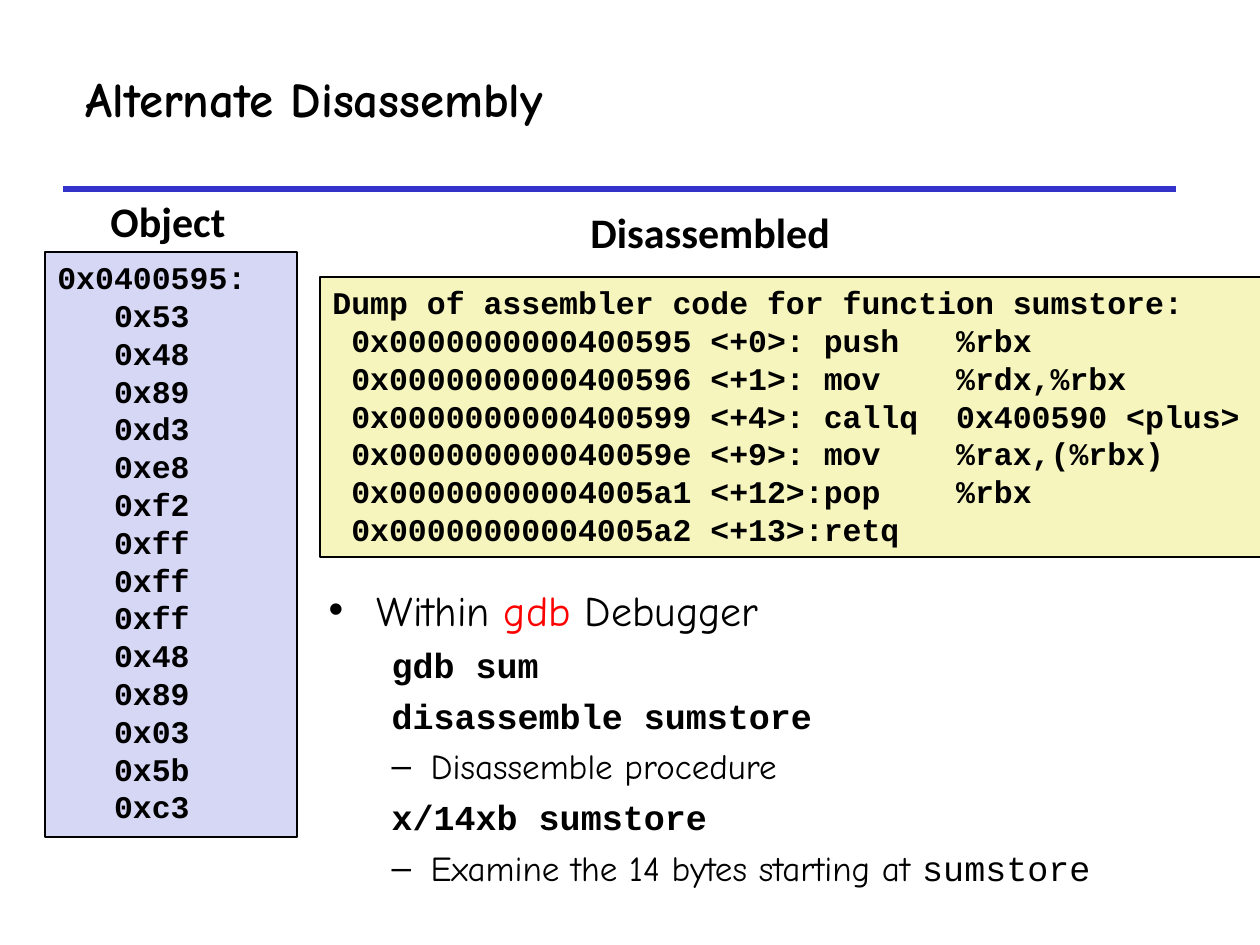
import pptx
import pptx.dml.color
import pptx.enum.shapes
import pptx.enum.text
import pptx.oxml
import pptx.util
import pptx.oxml.ns

PX = 914400 / 126
BLACK, RED, BLUE, LILAC, CREAM = "000000", "FF0000", "3333CC", "D6D6F5", "F6F5BD"
HAND, CODE, SANS = "Comic Neue", "Courier New", "Calibri"
rgb = pptx.dml.color.RGBColor.from_string


def px(*lengths):
    return [pptx.util.Emu(round(length * PX)) for length in lengths]


def write(frame, text, *, font, size, bold=False, color=BLACK, new=True, before=0):
    """Add a run, in a new paragraph unless new is False or the frame is empty."""
    paragraph = frame.paragraphs[-1]
    if new and paragraph.runs:
        paragraph = frame.add_paragraph()
    if new:
        paragraph.space_before = pptx.util.Pt(before)
        paragraph.alignment = pptx.enum.text.PP_ALIGN.LEFT
    run = paragraph.add_run()
    run.text = text
    run.font.name, run.font.size, run.font.bold = font, pptx.util.Pt(size), bold
    run.font.color.rgb = rgb(color)
    return paragraph


deck = pptx.Presentation()
deck.slide_width, deck.slide_height = px(1260, 945)
slide = deck.slides.add_slide(deck.slide_layouts[1])
title, commands = slide.placeholders[0], slide.placeholders[1]

# Title and the rule below it
title.left, title.top, title.width, title.height = px(73, 58, 861, 79)
title.text_frame.auto_size = pptx.enum.text.MSO_AUTO_SIZE.NONE
title.text_frame.vertical_anchor = pptx.enum.text.MSO_ANCHOR.MIDDLE
write(title.text_frame, "Alternate Disassembly", font=HAND, size=28, bold=True)

rule = slide.shapes.add_connector(
    pptx.enum.shapes.MSO_CONNECTOR.STRAIGHT, *px(63, 189, 1176, 189))
rule.line.color.rgb = rgb(BLUE)
rule.line.width = pptx.util.Pt(3)
rule._element.spPr.append(pptx.oxml.parse_xml(
    f"<a:effectLst {pptx.oxml.ns.nsdecls('a')}/>"))

# Panel headings
for heading, box in (("Object", (98, 189, 180, 57)),
                     ("Disassembled", (578, 200, 359, 57))):
    frame = slide.shapes.add_textbox(*px(*box)).text_frame
    frame.word_wrap = True
    write(frame, heading, font=SANS, size=24, bold=True)

# Code panels
object_bytes = "53 48 89 d3 e8 f2 ff ff ff 48 89 03 5b c3".split()
object_code = ["0x0400595:"] + [f"   0x{byte}" for byte in object_bytes]
disassembly = [
    "Dump of assembler code for function sumstore:",
    " 0x0000000000400595 <+0>: push   %rbx",
    " 0x0000000000400596 <+1>: mov    %rdx,%rbx",
    " 0x0000000000400599 <+4>: callq  0x400590 <plus>",
    " 0x000000000040059e <+9>: mov    %rax,(%rbx)",
    " 0x00000000004005a1 <+12>:pop    %rbx",
    " 0x00000000004005a2 <+13>:retq",
]
for lines, fill, box in ((object_code, LILAC, (45, 252, 252, 585)),
                         (disassembly, CREAM, (320, 277, 944, 280))):
    panel = slide.shapes.add_shape(
        pptx.enum.shapes.MSO_SHAPE.RECTANGLE, *px(*box))
    panel.shadow.inherit = False
    panel.fill.solid()
    panel.fill.fore_color.rgb = rgb(fill)
    panel.line.color.rgb = rgb(BLACK)
    panel.line.width = pptx.util.Pt(1)
    frame = panel.text_frame
    frame.word_wrap = True
    frame.auto_size = pptx.enum.text.MSO_AUTO_SIZE.SHAPE_TO_FIT_TEXT
    frame.vertical_anchor = pptx.enum.text.MSO_ANCHOR.TOP
    for line in lines:
        write(frame, line, font=CODE, size=18, bold=True)

# Debugger commands: level, bullet, runs of (text, font, bold, colour)
items = [
    (0, "•", [("Within ", HAND, False, BLACK), ("gdb ", HAND, False, RED),
              ("Debugger", HAND, False, BLACK)]),
    (1, None, [("gdb sum", CODE, True, BLACK)]),
    (1, None, [("disassemble sumstore", CODE, True, BLACK)]),
    (1, "–", [("Disassemble procedure", HAND, False, BLACK)]),
    (1, None, [("x/14xb sumstore", CODE, True, BLACK)]),
    (1, "–", [("Examine the 14 bytes starting at ", HAND, False, BLACK),
              ("sumstore", CODE, False, BLACK)]),
]
commands.left, commands.top, commands.width, commands.height = px(316, 578, 868, 310)
frame = commands.text_frame
frame.auto_size = pptx.enum.text.MSO_AUTO_SIZE.NONE
for level, bullet, runs in items:
    for index, (text, font, bold, color) in enumerate(runs):
        paragraph = write(frame, text, font=font, size=(24, 20)[level], bold=bold,
                          color=color, new=index == 0, before=5 * level)
    paragraph.level = level
    margin, indent = px(*((48, -48), (102, -39))[level])
    properties = paragraph._p.get_or_add_pPr()
    properties.set("marL", str(margin))
    properties.set("indent", str(indent))
    mark = f'buChar char="{bullet}"' if bullet else "buNone"
    properties.append(pptx.oxml.parse_xml(
        f"<a:{mark.replace(' ', ' ' + pptx.oxml.ns.nsdecls('a') + ' ')}/>"
        if bullet else f"<a:{mark} {pptx.oxml.ns.nsdecls('a')}/>"))

deck.save("out.pptx")
